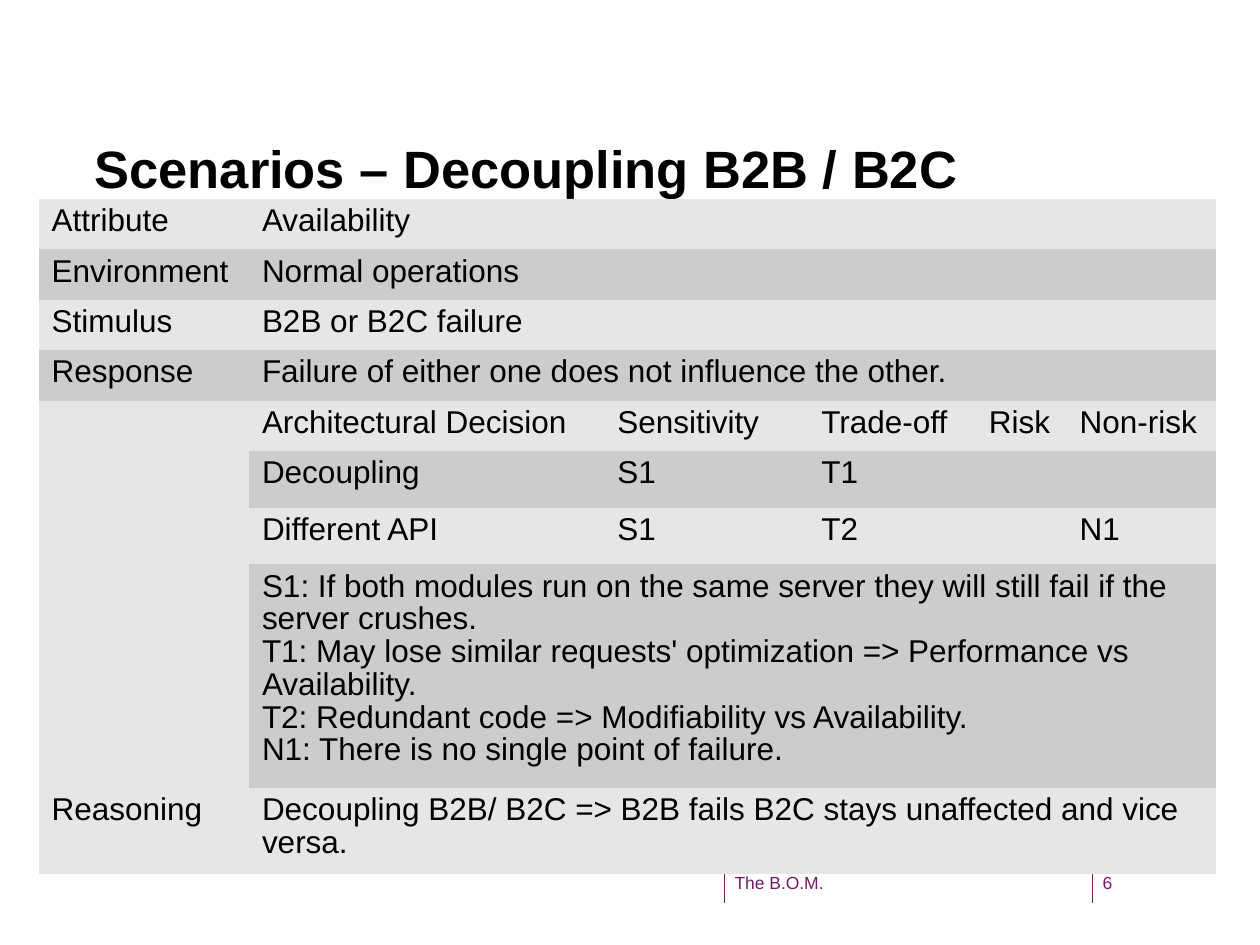
"""Build the availability scenario slide for decoupling B2B and B2C."""
from typing import Any, NamedTuple

from pptx import Presentation
from pptx.dml.color import RGBColor
from pptx.enum.shapes import MSO_CONNECTOR
from pptx.oxml.ns import qn
from pptx.oxml.xmlchemy import OxmlElement
from pptx.util import Pt

PLUM, BLACK, LIGHT, DARK = "751B68", "000000", "E6E6E6", "CCCCCC"
NO_GRID_STYLE = "{2D5ABB26-0587-4C30-8999-92F81FD0307C}"
COLUMN_WIDTHS = (120.24, 203.04, 116.64, 95.76, 51.84, 84.96)
SIDE_TOP, SIDE_BOTTOM = 4, 7


class Label(NamedTuple):
    text: str
    left: float
    top: float
    width: float
    height: float
    size: float
    color: str
    bold: bool = False
    inset_top: float = 0


class Row(NamedTuple):
    height: float
    fill: str
    texts: tuple[str, ...]


LABELS = (
    Label("The B.O.M.", 419.76, 498.24, 192.24, 23.76, 10, PLUM),
    Label("6", 630, 498.24, 41.76, 30.96, 10, PLUM),
    Label("Scenarios – Decoupling B2B / B2C", 54, 73.44, 581.76, 66.24, 30, BLACK, True, 4),
)
NOTES = "\n".join((
    "S1: If both modules run on the same server they will still fail if the server crushes.",
    "T1: May lose similar requests' optimization => Performance vs Availability.",
    "T2: Redundant code => Modifiability vs Availability.",
    "N1: There is no single point of failure.",
))
ROWS = (
    Row(28.8, LIGHT, ("Attribute", "Availability")),
    Row(28.8, DARK, ("Environment", "Normal operations")),
    Row(28.8, LIGHT, ("Stimulus", "B2B or B2C failure")),
    Row(28.8, DARK, ("Response", "Failure of either one does not influence the other.")),
    Row(28.8, LIGHT, ("", "Architectural Decision", "Sensitivity", "Trade-off", "Risk", "Non-risk")),
    Row(32.4, DARK, ("", "Decoupling", "S1", "T1", "", "")),
    Row(32.4, LIGHT, ("", "Different API", "S1", "T2", "", "N1")),
    Row(127.44, DARK, ("", NOTES)),
    Row(48.96, LIGHT, ("Reasoning", "Decoupling B2B/ B2C => B2B fails B2C stays unaffected and vice versa.")),
)


def rgb(color: str) -> RGBColor:
    return RGBColor.from_string(color)


def set_attributes(target: Any, values: dict[str, Any]) -> None:
    for name, value in values.items():
        setattr(target, name, value)


def write_text(frame: Any, text: str, size: float, color: str, bold: bool, spacing: float) -> None:
    frame.text = text
    for paragraph in frame.paragraphs:
        paragraph.line_spacing = spacing
        for run in paragraph.runs:
            set_attributes(run.font, {"name": "Arial", "size": Pt(size), "bold": bold})
            run.font.color.rgb = rgb(color)


def draw_divider(slide: Any, x: float) -> None:
    line = slide.shapes.add_connector(MSO_CONNECTOR.STRAIGHT, Pt(x), Pt(491.76), Pt(x), Pt(516.24))
    line.line.color.rgb = rgb(PLUM)
    line.line.width = Pt(0.75)
    line._element.spPr.append(OxmlElement("a:effectLst"))


def draw_label(slide: Any, label: Label) -> None:
    box = slide.shapes.add_textbox(Pt(label.left), Pt(label.top), Pt(label.width), Pt(label.height))
    set_attributes(box.text_frame, {
        "word_wrap": True, "margin_left": 0, "margin_right": 0,
        "margin_top": Pt(label.inset_top), "margin_bottom": 0,
    })
    write_text(box.text_frame, label.text, label.size, label.color, label.bold, 1.0)


def draw_table(slide: Any, rows: tuple[Row, ...]) -> None:
    last_column = len(COLUMN_WIDTHS) - 1
    frame = slide.shapes.add_table(
        len(rows), len(COLUMN_WIDTHS), Pt(22.32), Pt(113.76),
        Pt(sum(COLUMN_WIDTHS)), Pt(sum(row.height for row in rows)))
    table = frame.table
    set_attributes(table, {"first_row": False, "horz_banding": False})
    table._tbl.tblPr.find(qn("a:tableStyleId")).text = NO_GRID_STYLE
    for column, width in zip(table.columns, COLUMN_WIDTHS):
        column.width = Pt(width)
    for index, row in enumerate(rows):
        table.rows[index].height = Pt(row.height)
        for column in range(len(COLUMN_WIDTHS)):
            cell = table.cell(index, column)
            set_attributes(cell, {
                "margin_left": Pt(7.2), "margin_right": Pt(7.2),
                "margin_top": Pt(3.6), "margin_bottom": Pt(3.6),
            })
            cell.fill.solid()
            in_side = column == 0 and SIDE_TOP <= index <= SIDE_BOTTOM
            cell.fill.fore_color.rgb = rgb(LIGHT if in_side else row.fill)
            if column < len(row.texts) and row.texts[column]:
                write_text(cell.text_frame, row.texts[column], 18, BLACK, False, 0.93)
        if len(row.texts) == 2:
            table.cell(index, 1).merge(table.cell(index, last_column))
    table.cell(SIDE_TOP, 0).merge(table.cell(SIDE_BOTTOM, 0))


def main() -> None:
    presentation = Presentation()
    set_attributes(presentation, {"slide_width": Pt(720), "slide_height": Pt(540)})
    slide = presentation.slides.add_slide(presentation.slide_layouts[6])
    for x in (624.24, 414):
        draw_divider(slide, x)
    for label in LABELS:
        draw_label(slide, label)
    draw_table(slide, ROWS)
    presentation.save("out.pptx")


if __name__ == "__main__":
    main()
